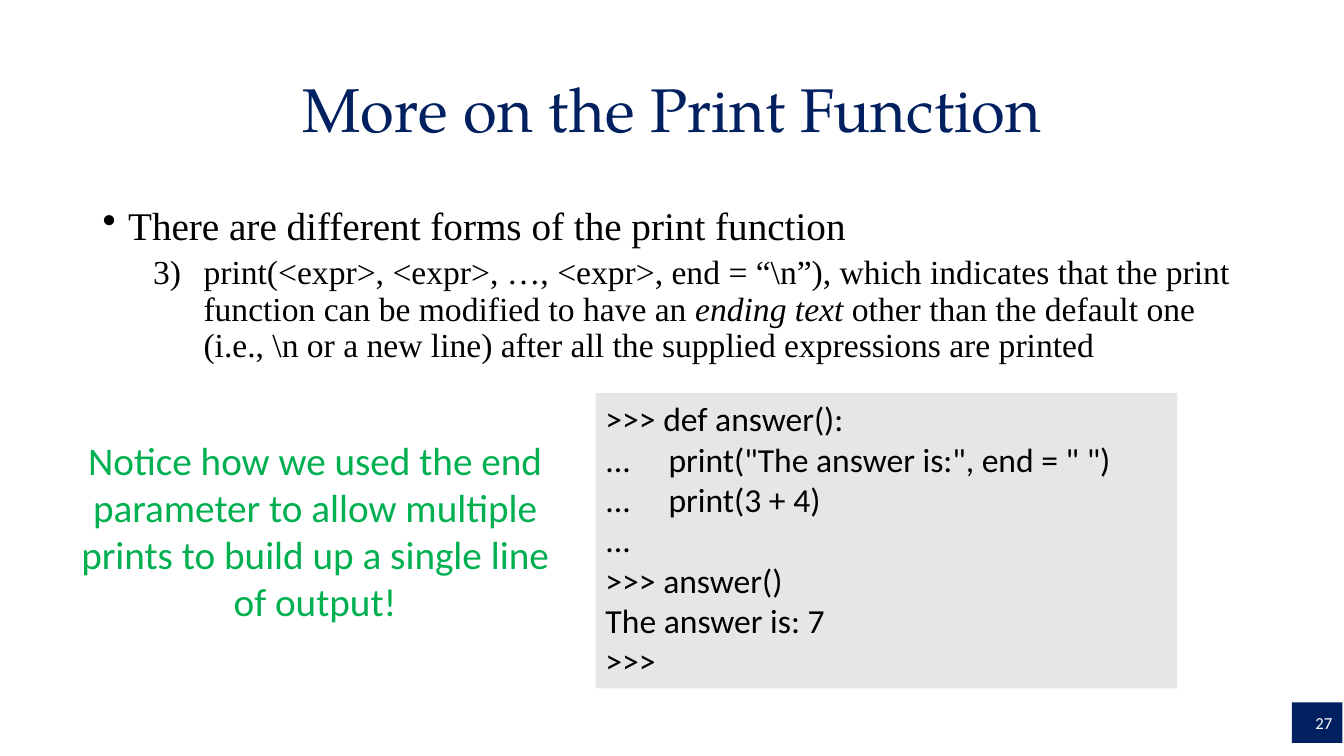
from dataclasses import dataclass
from lxml.etree import SubElement
from pptx import Presentation
from pptx.dml.color import RGBColor
from pptx.enum.shapes import MSO_SHAPE
from pptx.enum.text import MSO_ANCHOR, MSO_AUTO_SIZE, PP_ALIGN
from pptx.oxml.ns import qn
from pptx.util import Cm, Pt


@dataclass(frozen=True)
class Theme:
    navy: str = "002060"
    green: str = "00B050"
    gray: str = "E7E6E6"
    black: str = "000000"
    white: str = "FFFFFF"
    serif: str = "Times New Roman"
    sans: str = "Calibri"
    head: str = "TeX Gyre Pagella"
    title: int = 44
    large: int = 28
    text: int = 24
    small: int = 12


def apply(target, values):
    for name, value in values.items():
        setattr(target, name, value)


class Board:
    def __init__(self, slide, theme):
        self.slide = slide
        self.theme = theme

    def label(self, place, **frame):
        box = self.slide.shapes.add_textbox(*map(Cm, place)).text_frame
        apply(box, {"word_wrap": True} | frame)
        return box

    def panel(self, place, fill, **frame):
        box = self.slide.shapes.add_shape(MSO_SHAPE.RECTANGLE, *map(Cm, place))
        box.shadow.inherit = False
        box.fill.solid()
        box.fill.fore_color.rgb = RGBColor.from_string(fill)
        box.line.fill.background()
        apply(box.text_frame, {"word_wrap": True} | frame)
        return box.text_frame

    def line(self, box, text, size, color, face, **form):
        para = box.paragraphs[0]
        if para.runs:
            para = box.add_paragraph()
        apply(para, {"alignment": PP_ALIGN.LEFT} | form)
        for row, part in enumerate(text.split("\n")):
            if row:
                para.add_line_break()
            for turn, piece in enumerate(part.split("*")):
                run = para.add_run()
                run.text = piece
                apply(run.font, {"size": Pt(size), "name": face, "italic": turn % 2 == 1})
                run.font.color.rgb = RGBColor.from_string(color)
        return para

    def bullet(self, para, left, hang, tag, **mark):
        props = para._p.get_or_add_pPr()
        props.set("marL", str(Cm(left)))
        props.set("indent", str(Cm(-hang)))
        SubElement(props, qn("a:" + tag), **mark)

    def stop(self, para, left):
        stops = SubElement(para._p.get_or_add_pPr(), qn("a:tabLst"))
        SubElement(stops, qn("a:tab"), pos=str(Cm(left)), algn="l")


def main():
    deck = Presentation()
    apply(deck, {"slide_width": Cm(33.87), "slide_height": Cm(19.05)})
    theme = Theme()
    board = Board(deck.slides.add_slide(deck.slide_layouts[6]), theme)

    body = board.label((2.34, 5.08, 29.21, 13.03))
    topic = board.line(body, "There are different forms of the print function",
                       theme.large, theme.black, theme.serif,
                       line_spacing=0.9, space_before=Pt(10))
    board.bullet(topic, 0.64, 0.64, "buChar", char="•")
    form = board.line(body, r"print(<expr>, <expr>, …, <expr>, end = “\n”), which indicates that "
                      r"the print function can be modified to have an *ending text *other than "
                      r"the default one (i.e., \n or a new line) after all the supplied "
                      r"expressions are printed",
                      theme.text, theme.black, theme.serif,
                      level=1, line_spacing=0.9, space_before=Pt(5))
    board.bullet(form, 2.54, 1.27, "buAutoNum", type="arabicParenR", startAt="3")

    title = board.label((2.34, 0.99, 29.21, 3.68), vertical_anchor=MSO_ANCHOR.MIDDLE)
    board.line(title, "More on the Print Function", theme.title, theme.navy, theme.head,
               alignment=PP_ALIGN.CENTER, line_spacing=0.9)

    code = board.panel((15.01, 9.91, 14.66, 7.44), theme.gray,
                       vertical_anchor=MSO_ANCHOR.TOP,
                       auto_size=MSO_AUTO_SIZE.SHAPE_TO_FIT_TEXT)
    for text in (">>> def answer():",
                 '...\tprint("The answer is:", end = " ")',
                 "...\tprint(3 + 4)",
                 "...",
                 ">>> answer()",
                 "The answer is: 7",
                 ">>>"):
        row = board.line(code, text, theme.text, theme.black, theme.sans)
        board.stop(row, 1.59)

    note = board.label((1.73, 10.87, 12.42, 5.05), word_wrap=False,
                       auto_size=MSO_AUTO_SIZE.SHAPE_TO_FIT_TEXT)
    board.line(note, "Notice how we used the end\nparameter to allow multiple\n"
               "prints to build up a single line\nof output!",
               theme.large, theme.green, theme.sans, alignment=PP_ALIGN.CENTER)

    badge = board.panel((32.56, 17.7, 1.27, 1.02), theme.navy,
                        vertical_anchor=MSO_ANCHOR.MIDDLE)
    board.line(badge, "27", theme.small, theme.white, theme.sans, alignment=PP_ALIGN.RIGHT)

    deck.save("out.pptx")


if __name__ == "__main__":
    main()
